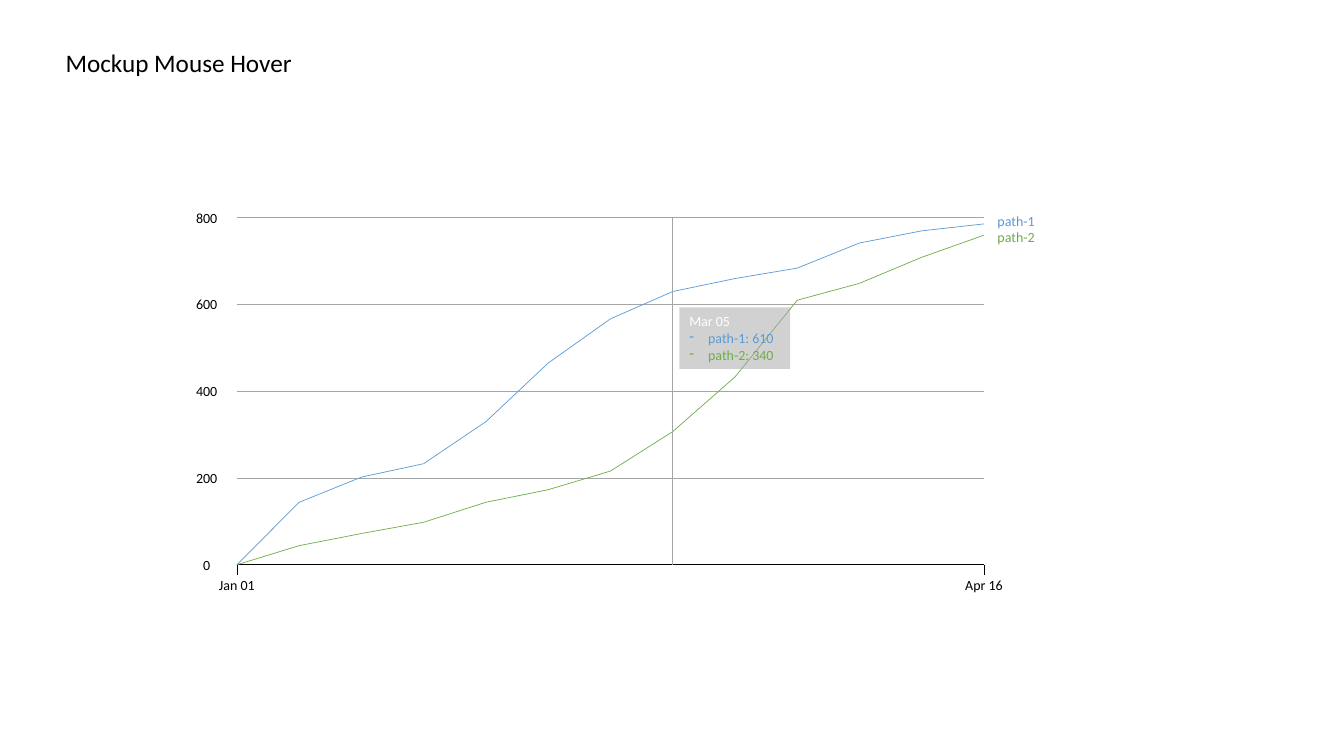
from lxml import etree
from pptx import Presentation
from pptx.dml.color import RGBColor
from pptx.enum.shapes import MSO_CONNECTOR, MSO_SHAPE
from pptx.enum.text import MSO_ANCHOR, MSO_AUTO_SIZE, PP_ALIGN
from pptx.oxml.ns import qn
from pptx.util import Pt

LINE = MSO_CONNECTOR.STRAIGHT
RECT = MSO_SHAPE.RECTANGLE
TOP, MIDDLE = MSO_ANCHOR.TOP, MSO_ANCHOR.MIDDLE
LEFT, CENTER = PP_ALIGN.LEFT, PP_ALIGN.CENTER
GROW = MSO_AUTO_SIZE.SHAPE_TO_FIT_TEXT

BLACK, WHITE, GRAY = "000000", "FFFFFF", "A5A5A5"
BLUE, GREEN = "5B9BD5", "70AD47"

# Plot area in points, and the top of its scale
X0, X1 = 169.2, 702.9
Y0, Y1 = 403.4, 155.6
PEAK = 800

PATHS = [
    ("path-1", BLUE, 148.3,
     [0, 144, 202, 233, 330, 465, 567, 630, 660, 684, 742, 770, 786]),
    ("path-2", GREEN, 159.8,
     [0, 44, 72, 98, 144, 173, 216, 307, 433, 610, 649, 709, 760]),
]
STEP = (X1 - X0) / 12
HOVER = X0 + 7 * STEP


def color(code):
    return RGBColor.from_string(code)


def level(value):
    return Y0 - value / PEAK * (Y0 - Y1)


class Page:
    font = "Calibri"
    small = 10
    width = 0.5

    def __init__(self, slide):
        self.slide = slide
        self.shapes = slide.shapes

    def fill_in(self, para, text, code, size=small, align=LEFT):
        para.text = text
        para.alignment = align
        font = para.font
        font.name, font.size = self.font, Pt(size)
        font.color.rgb = color(code)

    def title(self, text, x, y, w, h):
        shape = self.shapes.title
        shape.left, shape.top, shape.width, shape.height = map(Pt, (x, y, w, h))
        frame = shape.text_frame
        frame.word_wrap = False
        frame.auto_size = GROW
        frame.vertical_anchor = TOP
        self.fill_in(frame.paragraphs[0], text, BLACK, 18)

    def label(self, text, x, y, code=BLACK):
        box = self.shapes.add_textbox(Pt(x), Pt(y), Pt(43.2), Pt(19.4))
        frame = box.text_frame
        frame.word_wrap = True
        frame.auto_size = GROW
        self.fill_in(frame.paragraphs[0], text, code, align=CENTER)

    def line(self, xa, ya, xb, yb, code):
        line = self.shapes.add_connector(LINE, Pt(xa), Pt(ya), Pt(xb), Pt(yb))
        line.line.color.rgb = color(code)
        line.line.width = Pt(self.width)
        etree.SubElement(line._element.spPr, qn("a:effectLst"))

    def bullet(self, para):
        props = para._p.get_or_add_pPr()
        props.set("marL", str(Pt(13.5)))
        props.set("indent", str(-Pt(13.5)))
        mark = etree.Element(qn("a:buChar"), char="-")
        props.insert(0, mark)

    def tip(self, head, items, x, y, w, h):
        box = self.shapes.add_shape(RECT, Pt(x), Pt(y), Pt(w), Pt(h))
        box.shadow.inherit = False
        box.line.fill.background()
        box.fill.solid()
        box.fill.fore_color.rgb = color(GRAY)
        tint = box._element.spPr.find(".//" + qn("a:srgbClr"))
        etree.SubElement(tint, qn("a:alpha"), val="50000")
        frame = box.text_frame
        frame.word_wrap = True
        frame.auto_size = GROW
        frame.vertical_anchor = MIDDLE
        self.fill_in(frame.paragraphs[0], head, WHITE)
        for text, code in items:
            para = frame.add_paragraph()
            self.fill_in(para, text, code)
            self.bullet(para)


def main():
    deck = Presentation()
    deck.slide_width, deck.slide_height = Pt(960), Pt(540)
    page = Page(deck.slides.add_slide(deck.slide_layouts[5]))
    page.title("Mockup Mouse Hover", 39.6, 30.2, 177.8, 28.8)

    # Grid and value labels
    for value in range(0, PEAK + 1, 200):
        y = level(value)
        page.line(X0, y, X1, y, GRAY if value else BLACK)
        page.label(str(value), 126, y - 9.7)

    # Date ticks
    for text, x in (("Jan 01", X0), ("Apr 16", X1)):
        page.line(x, Y0, x, Y0 + 7.2, BLACK)
        page.label(text, x - 21.6, 408.2)

    # Paths and their names
    for name, code, top, values in PATHS:
        spots = [(X0 + i * STEP, level(v)) for i, v in enumerate(values)]
        for start, end in zip(spots, spots[1:]):
            page.line(*start, *end, code)
        page.label(name, 704.2, top, code)

    # Hover line and tip
    page.line(HOVER, Y1, HOVER, Y0, GRAY)
    page.tip("Mar 05", [("path-1: 610", BLUE), ("path-2: 340", GREEN)],
             485.3, 219.6, 79.2, 43.9)

    deck.save("out.pptx")


if __name__ == "__main__":
    main()
